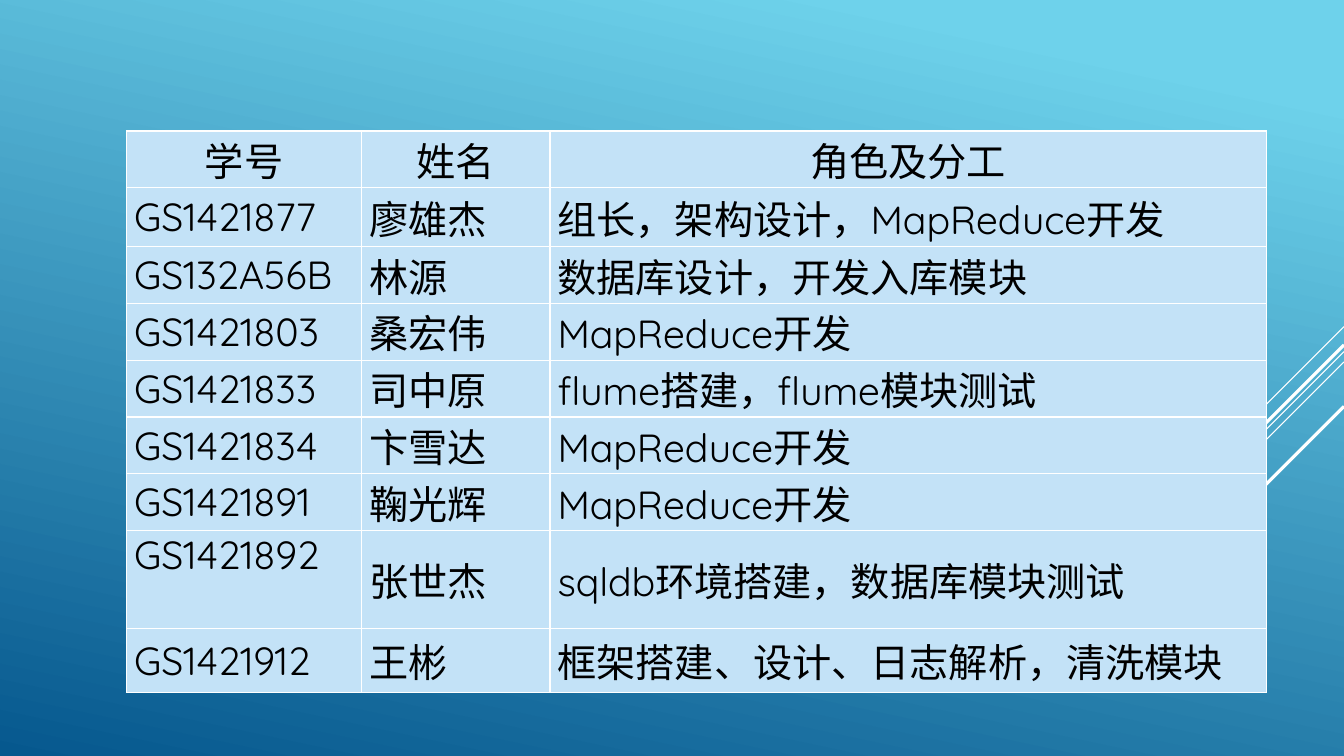
from dataclasses import dataclass

from lxml.etree import SubElement
from pptx import Presentation
from pptx.dml.color import RGBColor
from pptx.enum.shapes import MSO_CONNECTOR as Conn
from pptx.enum.text import MSO_ANCHOR as Anchor, PP_ALIGN as Align
from pptx.oxml.ns import qn
from pptx.util import Cm, Pt

WHITE, BLACK, PALE = "FFFFFF", "000000", "C3E2F7"
WIDE, HIGH = 33.87, 19.05


@dataclass
class Ray:
    """A 45 degree line that runs down and left from the right edge."""
    top: float
    run: float
    size: float


@dataclass
class Member:
    code: str
    name: str
    role: str
    high: float = 1.43
    anchor: Anchor = Anchor.MIDDLE
    align: Align = Align.JUSTIFY


RAYS = [
    Ray(8.23, 2.54, 0.75),
    Ray(8.86, 8.28, 0.75),
    Ray(9.12, 5.27, 0.75),
    Ray(8.69, 4.85, 2.25),
    Ray(10.24, 3.53, 2.25),
]
COLS = [5.92, 4.75, 18.06]
TEAM = [
    Member("学号", "姓名", "角色及分工", 1.41, align=Align.CENTER),
    Member("GS1421877", "廖雄杰", "组长，架构设计，MapReduce开发", 1.49),
    Member("GS132A56B", "林源", "数据库设计，开发入库模块"),
    Member("GS1421803", "桑宏伟", "MapReduce开发"),
    Member("GS1421833", "司中原", "flume搭建，flume模块测试"),
    Member("GS1421834", "卞雪达", "MapReduce开发"),
    Member("GS1421891", "鞠光辉", "MapReduce开发"),
    Member("GS1421892", "张世杰", "sqldb环境搭建，数据库模块测试", 2.47, Anchor.TOP),
    Member("GS1421912", "王彬", "框架搭建、设计、日志解析，清洗模块", 1.62),
]
FONT = {"name": "Quicksand", "size": Pt(28), "bold": False}
INSET = {"margin_left": Cm(0.19), "margin_right": Cm(0.19),
         "margin_top": 0, "margin_bottom": 0}


def color(code: str) -> RGBColor:
    return RGBColor.from_string(code)


def apply(item, values: dict) -> None:
    for key, value in values.items():
        setattr(item, key, value)


def draw_back(slide) -> None:
    fill = slide.background.fill
    fill.gradient()
    fill.gradient_angle = 258
    for stop, (pos, code) in zip(fill.gradient_stops,
                                 [(0.1, "6ED2EB"), (1, "06588E")]):
        stop.position = pos
        stop.color.rgb = color(code)


def draw_ray(slide, ray: Ray) -> None:
    line = slide.shapes.add_connector(
        Conn.STRAIGHT, Cm(WIDE), Cm(ray.top),
        Cm(WIDE - ray.run), Cm(ray.top + ray.run))
    line.line.color.rgb = color(WHITE)
    line.line.width = Pt(ray.size)
    SubElement(line._element.spPr, qn("a:effectLst"))


def add_edges(cell) -> None:
    props = cell._tc.get_or_add_tcPr()
    for spot, side in enumerate(("lnL", "lnR", "lnT", "lnB")):
        edge = props.makeelement(qn(f"a:{side}"), {"w": str(Pt(1))})
        solid = SubElement(edge, qn("a:solidFill"))
        SubElement(solid, qn("a:srgbClr"), val=WHITE)
        props.insert(spot, edge)


def fill_cell(cell, text: str, align: Align, anchor: Anchor) -> None:
    apply(cell, INSET)
    cell.vertical_anchor = anchor
    cell.fill.solid()
    cell.fill.fore_color.rgb = color(PALE)
    add_edges(cell)
    para = cell.text_frame.paragraphs[0]
    para.alignment = align
    run = para.add_run()
    run.text = text
    apply(run.font, FONT)
    run.font.color.rgb = color(BLACK)


def draw_team(slide) -> None:
    frame = slide.shapes.add_table(
        len(TEAM), len(COLS), Cm(3.19), Cm(3.3),
        Cm(sum(COLS)), Cm(sum(m.high for m in TEAM)))
    table = frame.table
    for col, wide in zip(table.columns, COLS):
        col.width = Cm(wide)
    for row, who in zip(table.rows, TEAM):
        row.height = Cm(who.high)
        anchors = (who.anchor, Anchor.MIDDLE, Anchor.MIDDLE)
        texts = (who.code, who.name, who.role)
        for cell, text, anchor in zip(row.cells, texts, anchors):
            fill_cell(cell, text, who.align, anchor)


def main() -> None:
    deck = Presentation()
    deck.slide_width, deck.slide_height = Cm(WIDE), Cm(HIGH)
    slide = deck.slides.add_slide(deck.slide_layouts[6])
    # Background and rays
    draw_back(slide)
    for ray in RAYS:
        draw_ray(slide, ray)
    # Team table
    draw_team(slide)
    deck.save("out.pptx")


if __name__ == "__main__":
    main()
